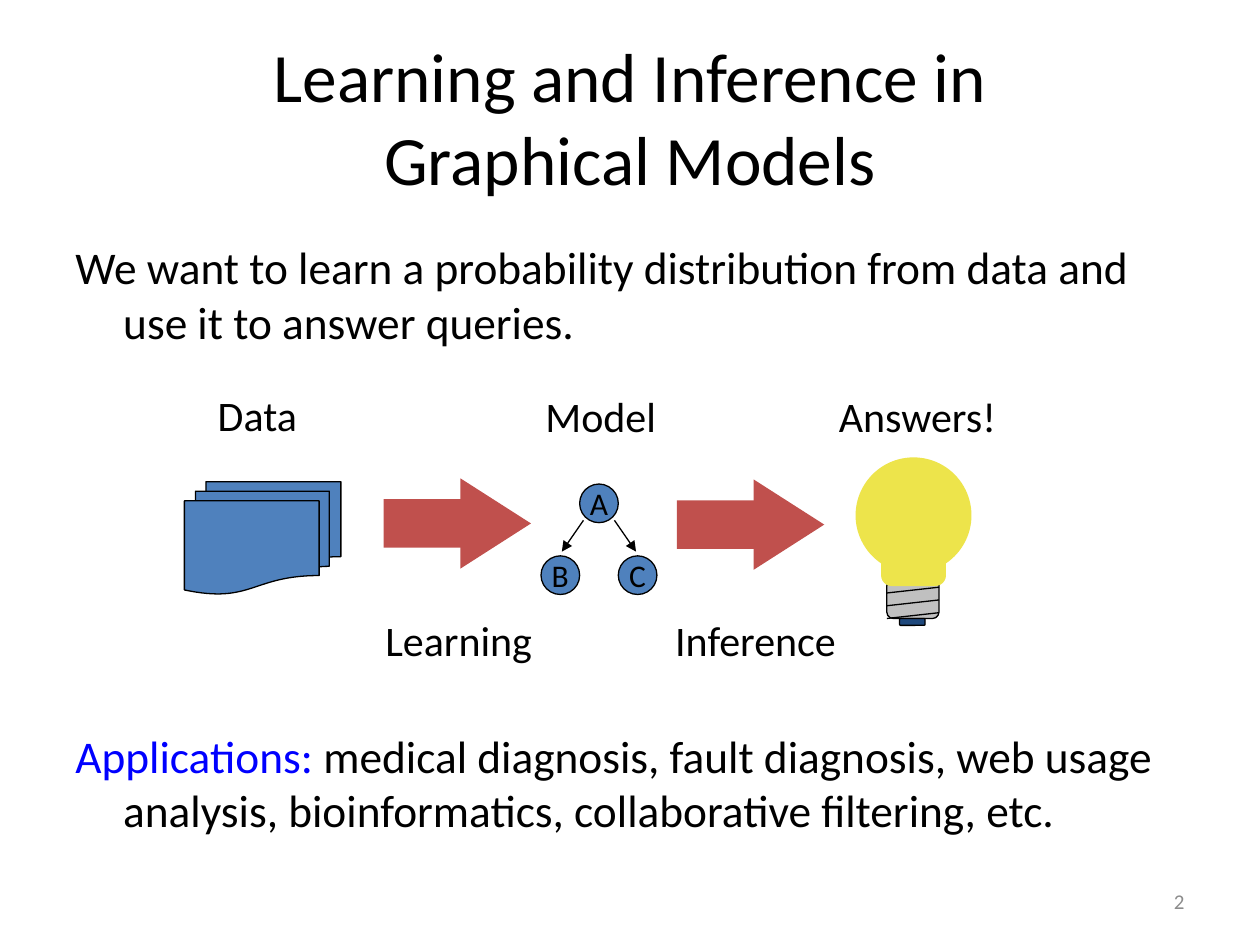
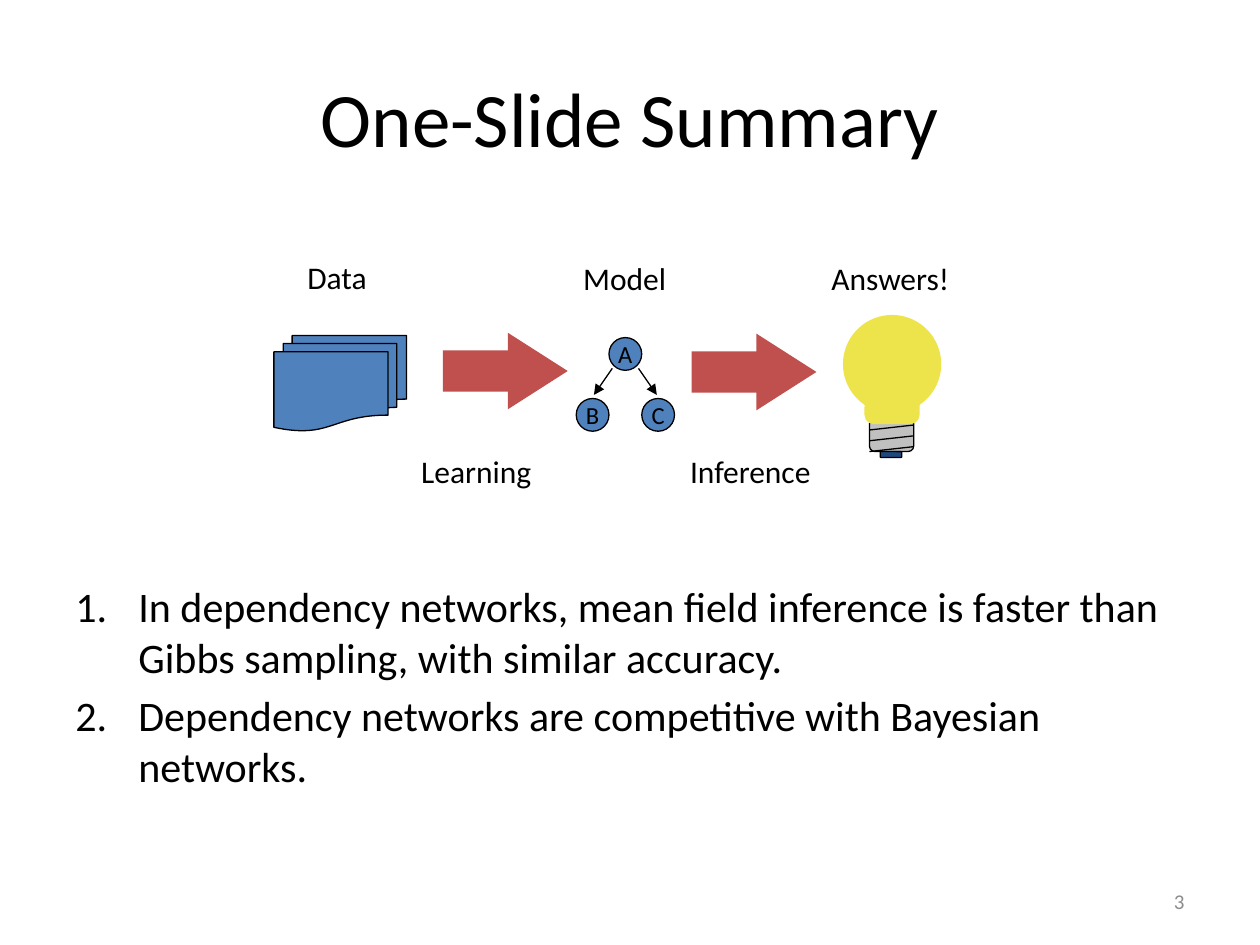
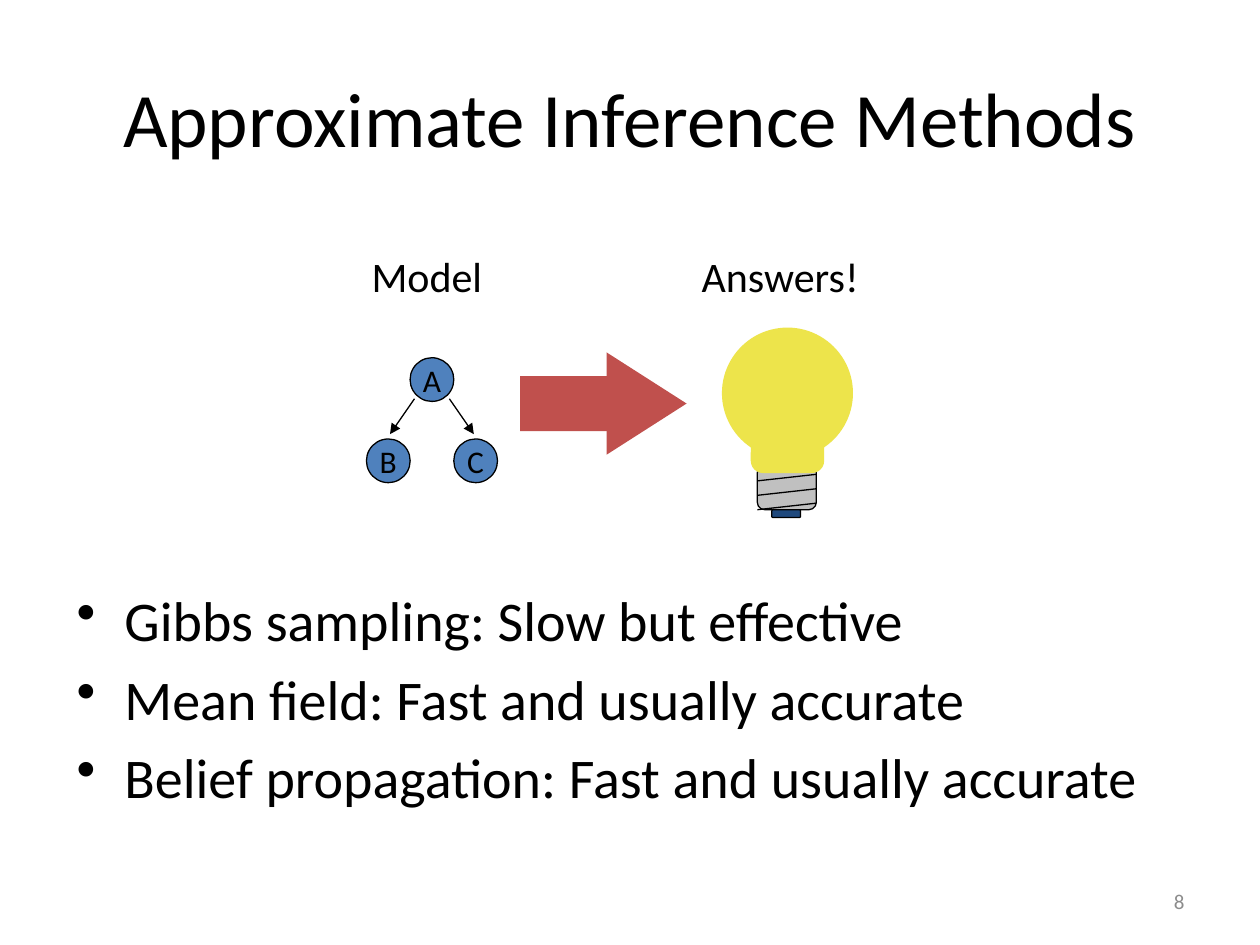
from dataclasses import dataclass

from pptx import Presentation
from pptx.dml.color import RGBColor
from pptx.enum import shapes, text
from pptx.oxml.ns import qn
from pptx.util import Inches, Pt
from lxml import etree

# Shared style
FONT = "Calibri"
BLACK, GREY, LINK_BLUE = "000000", "8C8C8C", "0000FF"
BLUE, RED, YELLOW, SILVER, NAVY = "4F81BD", "C0504D", "EDE44B", "C0C0C0", "1F497D"
OUTLINE = Pt(0.75)
TITLE_ONLY = 5
LEFT, CENTER, RIGHT = text.PP_ALIGN.LEFT, text.PP_ALIGN.CENTER, text.PP_ALIGN.RIGHT
MIDDLE, TOP = text.MSO_ANCHOR.MIDDLE, text.MSO_ANCHOR.TOP
KIND = shapes.MSO_SHAPE


@dataclass
class Frame:
    left: float
    top: float
    width: float
    height: float

    def lengths(self) -> list:
        return [Inches(v) for v in (self.left, self.top, self.width, self.height)]


@dataclass
class Label:
    words: str
    left: float
    top: float
    width: float
    align: object = LEFT


@dataclass
class Diagram:
    """All parts are placed from the bulb's corner, in bulb diameters."""
    left: float
    top: float
    bulb: float
    node_size: float
    label_size: float
    label_height: float
    labels: list
    with_data: bool = True

    def x(self, offset: float) -> float:
        return self.left + offset * self.bulb

    def y(self, offset: float) -> float:
        return self.top + offset * self.bulb

    def frame(self, left: float, top: float, width: float, height: float) -> Frame:
        return Frame(self.x(left), self.y(top), width * self.bulb, height * self.bulb)


@dataclass
class Body:
    frame: Frame
    size: float
    indent: float
    paragraphs: list  # each a list of (words, colour)
    bullet: tuple = ("buNone", {})
    gap: float = 0  # points between paragraphs, 20% of the size if 0


@dataclass
class Page:
    number: int
    title: str
    title_size: float
    body: Body
    diagram: Diagram


def colour(value: str) -> RGBColor:
    return RGBColor.from_string(value)


def style(para, size: float, align=LEFT, ink: str = BLACK) -> None:
    para.alignment = align
    para.font.name, para.font.size = FONT, Pt(size)
    para.font.color.rgb = colour(ink)


def add_text(page, frame: Frame, words: str, size: float, align=LEFT,
             ink: str = BLACK, anchor=TOP):
    box = page.shapes.add_textbox(*frame.lengths())
    box.text_frame.word_wrap = True
    box.text_frame.vertical_anchor = anchor
    box.text_frame.text = words
    style(box.text_frame.paragraphs[0], size, align, ink)
    return box


def add_part(page, kind, frame: Frame, fill: str, outlined: bool = True):
    part = page.shapes.add_shape(kind, *frame.lengths())
    part.shadow.inherit = False
    part.fill.solid()
    part.fill.fore_color.rgb = colour(fill)
    if outlined:
        part.line.color.rgb = colour(BLACK)
        part.line.width = OUTLINE
    else:
        part.line.fill.background()
    return part


def add_line(page, x1: float, y1: float, x2: float, y2: float, arrow: bool = False) -> None:
    line = page.shapes.add_connector(shapes.MSO_CONNECTOR.STRAIGHT,
                                     *[Inches(v) for v in (x1, y1, x2, y2)])
    line.line.color.rgb = colour(BLACK)
    line.line.width = OUTLINE
    properties = line.element.spPr
    if arrow:
        etree.SubElement(properties.find(qn("a:ln")), qn("a:tailEnd"), type="triangle")
    etree.SubElement(properties, qn("a:effectLst"))


# Diagram parts
def add_block_arrow(page, diagram: Diagram, left: float, middle: float) -> None:
    shaft = diagram.frame(left, middle - 0.21, 0.67, 0.42)
    add_part(page, KIND.RECTANGLE, shaft, RED, False)
    # The head is a triangle turned about its centre
    base, depth = 0.78, 0.61
    centre = left + 0.66 + depth / 2
    head = diagram.frame(centre - base / 2, middle - depth / 2, base, depth)
    add_part(page, KIND.ISOSCELES_TRIANGLE, head, RED, False).rotation = 90


def add_graph(page, diagram: Diagram) -> None:
    node = diagram.bulb / 3
    left, top = diagram.x(-2.38), diagram.y(0.23)
    for letter, column, row in (("A", 0, 0), ("B", -1, 1.86), ("C", 1, 1.86)):
        frame = Frame(left + column * node, top + row * node, node, node)
        circle = add_part(page, KIND.OVAL, frame, BLUE)
        circle.text_frame.word_wrap = False
        circle.text_frame.vertical_anchor = MIDDLE
        circle.text_frame.text = letter
        style(circle.text_frame.paragraphs[0], diagram.node_size, CENTER)
    middle = left + node / 2
    for side in (-1, 1):
        add_line(page, middle + side * 0.4 * node, top + 0.94 * node,
                 middle + side * 0.96 * node, top + 1.75 * node, arrow=True)


def add_bulb(page, diagram: Diagram) -> None:
    frame = diagram.frame
    add_part(page, KIND.ROUNDED_RECTANGLE, frame(0.27, 1.05, 0.45, 0.34), SILVER)
    add_part(page, KIND.ROUNDED_RECTANGLE, frame(0.22, 0.55, 0.56, 0.56), YELLOW, False)
    add_part(page, KIND.OVAL, frame(0, 0, 1, 1), YELLOW, False)
    for thread in range(3):
        low = 1.17 + 0.11 * thread
        add_line(page, diagram.x(0.27), diagram.y(low), diagram.x(0.72), diagram.y(low - 0.05))
    add_part(page, KIND.ROUNDED_RECTANGLE, frame(0.38, 1.39, 0.22, 0.06), NAVY)


def add_diagram(page, diagram: Diagram) -> None:
    if diagram.with_data:
        documents = diagram.frame(-5.79, 0.21, 1.35, 0.97)
        add_part(page, KIND.FLOWCHART_MULTIDOCUMENT, documents, BLUE)
        add_block_arrow(page, diagram, -4.07, 0.57)
    add_graph(page, diagram)
    add_block_arrow(page, diagram, -1.54, 0.58)
    add_bulb(page, diagram)
    for label in diagram.labels:
        frame = Frame(label.left, label.top, label.width, diagram.label_height)
        add_text(page, frame, label.words, diagram.label_size, label.align)


# Page parts
def add_title(page, words: str, size: float) -> None:
    title = page.shapes.title
    title.left, title.top, title.width, title.height = Frame(0.5, 0.3, 9, 1.25).lengths()
    title.text_frame.text = words
    title.text_frame.auto_size = text.MSO_AUTO_SIZE.NONE
    title.text_frame.vertical_anchor = MIDDLE
    style(title.text_frame.paragraphs[0], size, CENTER)


def add_body(page, body: Body) -> None:
    box = page.shapes.add_textbox(*body.frame.lengths())
    box.text_frame.word_wrap = True
    for index, spans in enumerate(body.paragraphs):
        para = box.text_frame.paragraphs[0] if index == 0 else box.text_frame.add_paragraph()
        style(para, body.size)
        para.space_before = Pt(body.gap if body.gap and index else 0.2 * body.size)
        for words, ink in spans:
            span = para.add_run()
            span.text = words
            span.font.name, span.font.size = FONT, Pt(body.size)
            span.font.color.rgb = colour(ink)
        properties = para._p.get_or_add_pPr()
        properties.set("marL", str(Inches(body.indent)))
        properties.set("indent", str(-Inches(body.indent)))
        tag, values = body.bullet
        bullet = etree.Element(qn("a:" + tag), **values)
        properties.insert_element_before(bullet, "a:tabLst", "a:defRPr", "a:extLst")


def add_page(deck, content: Page) -> None:
    page = deck.slides.add_slide(deck.slide_layouts[TITLE_ONLY])
    add_title(page, content.title, content.title_size)
    add_body(page, content.body)
    add_diagram(page, content.diagram)
    add_text(page, Frame(7.17, 6.95, 2.33, 0.4), str(content.number), 12, RIGHT, GREY, MIDDLE)


# Content
PAGES = [
    Page(2, "Learning and Inference in\vGraphical Models", 39.6,
         Body(Frame(0.5, 1.85, 9, 5.28), 25.9, 0.38, [
             [("We want to learn a probability distribution from data and "
               "use it to answer queries.", BLACK)],
             [("Applications:", LINK_BLUE),
              (" medical diagnosis, fault diagnosis, web usage analysis, "
               "bioinformatics, collaborative filtering, etc.", BLACK)],
         ], gap=217),
         Diagram(6.79, 3.63, 0.92, 18, 24, 0.5, [
             Label("Data", 1.63, 3.04, 0.84),
             Label("Model", 4.23, 3.05, 1.09),
             Label("Answers!", 6.56, 3.05, 1.46),
             Label("Learning", 2.96, 4.83, 1.38),
             Label("Inference", 5.26, 4.83, 1.49),
         ])),
    Page(3, "One-Slide Summary", 44,
         Body(Frame(0.5, 4.56, 9, 2.29), 24, 0.5, [
             [("In dependency networks, mean field inference is faster than "
               "Gibbs sampling, with similar accuracy.", BLACK)],
             [("Dependency networks are competitive with Bayesian networks.", BLACK)],
         ], ("buAutoNum", {"type": "arabicPeriod"})),
         Diagram(6.69, 2.5, 0.78, 14, 18, 0.4, [
             Label("Data", 2.34, 2, 0.71),
             Label("Model", 4.53, 2.01, 0.92),
             Label("Answers!", 6.5, 2.01, 1.23),
             Label("Learning", 3.05, 3.54, 1.46, CENTER),
             Label("Inference", 5.21, 3.54, 1.49, CENTER),
         ])),
    Page(8, "Approximate Inference Methods", 44,
         Body(Frame(0.51, 4.6, 9, 2.43), 32, 0.38, [
             [("Gibbs sampling: Slow but effective", BLACK)],
             [("Mean field: Fast and usually accurate", BLACK)],
             [("Belief propagation: Fast and usually accurate", BLACK)],
         ], ("buChar", {"char": "•"})),
         Diagram(5.73, 2.6, 1.04, 18, 24, 0.5, [
             Label("Model", 2.85, 1.94, 1.22),
             Label("Answers!", 5.47, 1.94, 1.64),
         ], with_data=False)),
]


def main() -> None:
    deck = Presentation()
    deck.slide_width, deck.slide_height = Inches(10), Inches(7.5)
    for content in PAGES:
        add_page(deck, content)
    deck.save("out.pptx")


if __name__ == "__main__":
    main()
